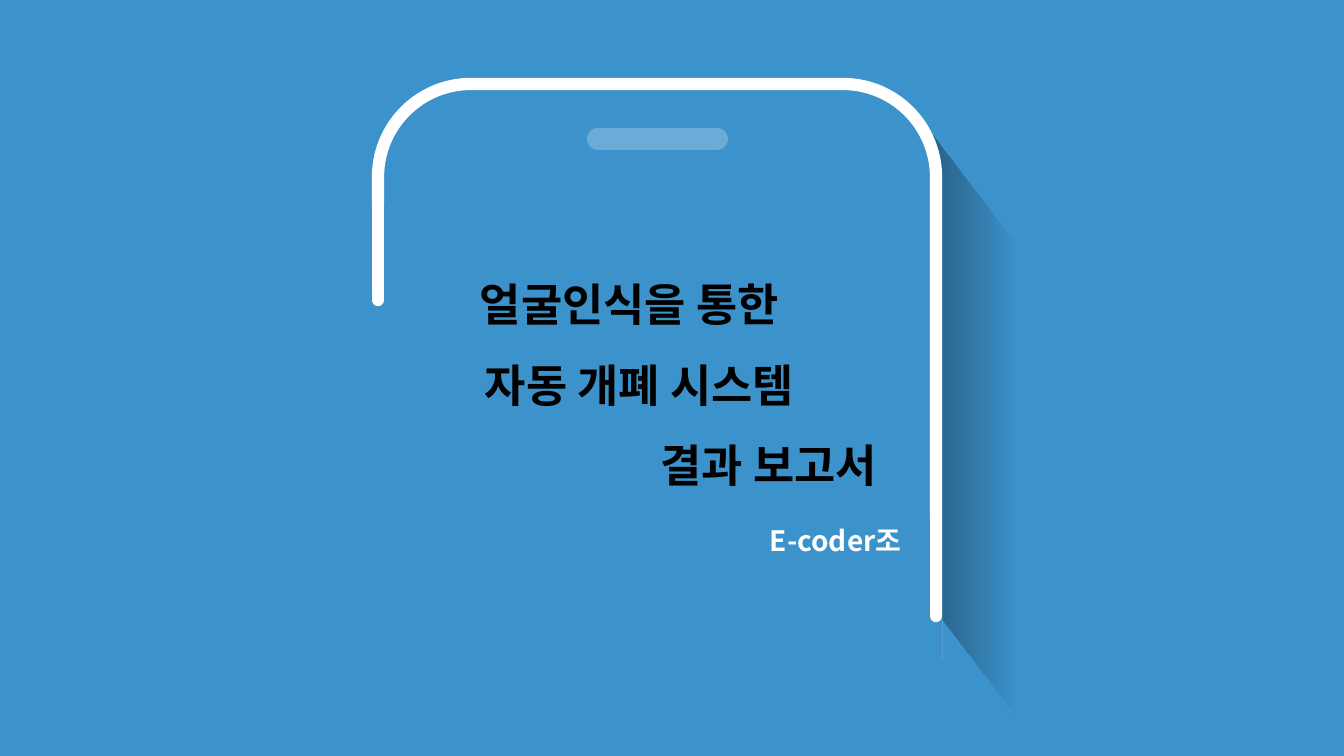
from lxml.etree import SubElement
from pptx import Presentation
from pptx.dml.color import RGBColor
from pptx.enum.shapes import MSO_CONNECTOR, MSO_SHAPE
from pptx.enum.text import PP_ALIGN
from pptx.oxml.ns import qn
from pptx.util import Emu, Pt

PX = 914400 / 100.8
BLUE = RGBColor(0x3C, 0x92, 0xCA)
PALE = RGBColor(0x6B, 0xAB, 0xD7)
WHITE = RGBColor(0xFF, 0xFF, 0xFF)
BLACK = RGBColor(0, 0, 0)
FONT = "Noto Sans CJK KR"
EDGE = Pt(8.75)


def px(*nums):
    """Turn pixel lengths into EMU."""
    return [Emu(round(n * PX)) for n in nums]


def write(para, text, style):
    run = para.add_run()
    run.text = text
    for key, value in style.items():
        setattr(run.font, key, value)
    run.font.color.rgb = WHITE if para.level or style["size"] < Pt(30) else BLACK
    SubElement(run.font._element, qn("a:ea"), typeface=FONT)


deck = Presentation()
deck.slide_width, deck.slide_height = px(1344, 756)
slide = deck.slides.add_slide(deck.slide_layouts[6])
slide.background.fill.solid()
slide.background.fill.fore_color.rgb = BLUE
shapes = slide.shapes

# Long shadow beside the phone
shade = shapes.add_shape(MSO_SHAPE.PARALLELOGRAM, *px(663, 364, 606, 101))
shade.adjustments[0] = 1.32
shade.rotation = 90
shade.shadow.inherit = False
shade.line.fill.background()
frame = shade._element.spPr.find(qn("a:xfrm"))
for flip in ("flipH", "flipV"):
    frame.set(flip, "1")
shade.fill.gradient()
shade.fill.gradient_angle = 270
for stop, alpha in zip(shade.fill.gradient_stops, (40000, 0)):
    stop.color.rgb = BLACK
    tint = stop._gs.find(qn("a:srgbClr"))
    SubElement(tint, qn("a:alpha"), val=str(alpha))

# Phone body, two covers that open its outline, and the speaker
parts = [
    (MSO_SHAPE.ROUND_2_SAME_RECTANGLE, (378, 84, 558, 576), BLUE, True),
    (MSO_SHAPE.RECTANGLE, (228, 206, 298, 500), BLUE, False),
    (MSO_SHAPE.RECTANGLE, (431, 519, 511, 205), BLUE, False),
    (MSO_SHAPE.ROUNDED_RECTANGLE, (587, 128, 141, 22), PALE, False),
]
for kind, box, color, edged in parts:
    part = shapes.add_shape(kind, *px(*box))
    part.shadow.inherit = False
    part.fill.solid()
    part.fill.fore_color.rgb = color
    if edged:
        part.line.color.rgb = WHITE
        part.line.width = EDGE
    else:
        part.line.fill.background()
    if kind == MSO_SHAPE.ROUNDED_RECTANGLE:
        part.adjustments[0] = 0.5

# Round ends of the outline
for x, top, end in ((378, 206, 300), (936, 501, 616)):
    side = shapes.add_connector(MSO_CONNECTOR.STRAIGHT, *px(x, top, x, end))
    side.line.color.rgb = WHITE
    side.line.width = EDGE
    side.line._ln.set("cap", "rnd")
    SubElement(side._element.spPr, qn("a:effectLst"))

# Title and team
title = shapes.add_textbox(*px(465, 245, 608, 336)).text_frame
title.word_wrap = True
bold = {"name": FONT, "size": Pt(32), "bold": True}
lines = [
    ("얼굴인식을 통한", 5, PP_ALIGN.LEFT),
    ("자동 개폐 시스템", 10, PP_ALIGN.LEFT),
    ("결과 보고서", 0, PP_ALIGN.CENTER),
]
for row, (text, indent, align) in enumerate(lines):
    para = title.add_paragraph() if row else title.paragraphs[0]
    para.alignment = align
    para.line_spacing = 1.5
    para._p.get_or_add_pPr().set("marL", str(px(indent)[0]))
    write(para, text, bold)

team = shapes.add_textbox(*px(760, 519, 155, 44)).text_frame
team.word_wrap = True
write(team.paragraphs[0], "E-coder조", {**bold, "size": Pt(20)})

deck.save("out.pptx")
